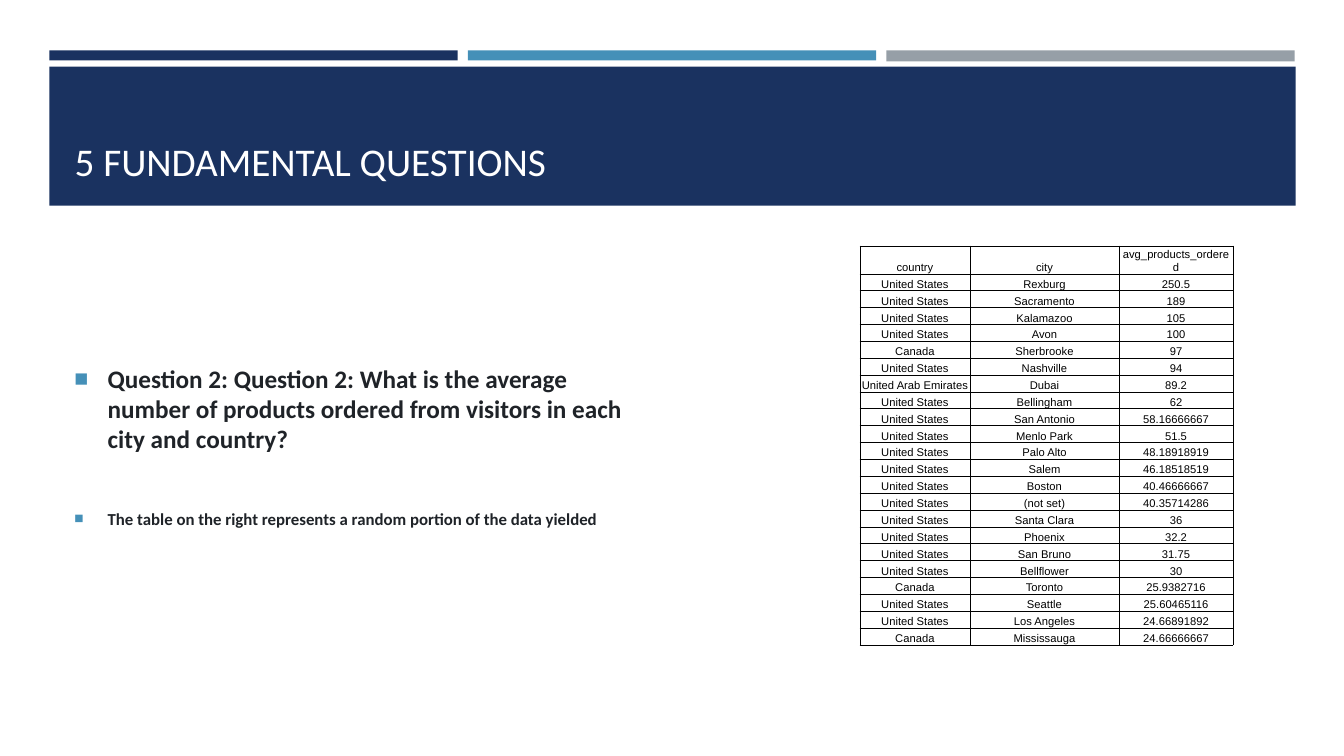
from pptx import Presentation
from pptx.dml.color import RGBColor
from pptx.enum.shapes import MSO_SHAPE as Shape
from pptx.enum.text import MSO_ANCHOR as Anchor, PP_ALIGN as Align
from pptx.oxml import parse_xml
from pptx.oxml.ns import nsdecls
from pptx.util import Inches, Pt

NAVY = RGBColor(0x1A, 0x32, 0x60)
BLUE = RGBColor(0x45, 0x90, 0xB8)
GRAY = RGBColor(0x96, 0x9F, 0xA7)
INK = RGBColor(0x1F, 0x23, 0x28)
BLACK = RGBColor(0, 0, 0)
WHITE = RGBColor(0xFF, 0xFF, 0xFF)

BARS = [
    (0.49, 0.5, 4.05, 0.1, NAVY),
    (4.64, 0.5, 4.05, 0.1, BLUE),
    (8.79, 0.5, 4.05, 0.11, GRAY),
    (0.49, 0.66, 12.36, 1.38, NAVY),
]
POINTS = [
    ("Question 2: Question 2: What is the average number of products "
     "ordered from visitors in each city and country?", 18, 0),
    ("The table on the right represents a random portion of the data yielded", 12, 33),
]
US = "United States"
ROWS = [
    ("country", "city", "avg_products_ordered"),
    (US, "Rexburg", "250.5"),
    (US, "Sacramento", "189"),
    (US, "Kalamazoo", "105"),
    (US, "Avon", "100"),
    ("Canada", "Sherbrooke", "97"),
    (US, "Nashville", "94"),
    ("United Arab Emirates", "Dubai", "89.2"),
    (US, "Bellingham", "62"),
    (US, "San Antonio", "58.16666667"),
    (US, "Menlo Park", "51.5"),
    (US, "Palo Alto", "48.18918919"),
    (US, "Salem", "46.18518519"),
    (US, "Boston", "40.46666667"),
    (US, "(not set)", "40.35714286"),
    (US, "Santa Clara", "36"),
    (US, "Phoenix", "32.2"),
    (US, "San Bruno", "31.75"),
    (US, "Bellflower", "30"),
    ("Canada", "Toronto", "25.9382716"),
    (US, "Seattle", "25.60465116"),
    (US, "Los Angeles", "24.66891892"),
    ("Canada", "Mississauga", "24.66666667"),
]
WIDTHS = (1.09, 1.48, 1.13)
CELL = {
    "vertical_anchor": Anchor.BOTTOM,
    "margin_left": Inches(0.01),
    "margin_right": Inches(0.01),
    "margin_top": Inches(0.01),
    "margin_bottom": 0,
}


def style(para, text, size, name, color, bold=False):
    """Fill a paragraph with one formatted run."""
    run = para.add_run()
    run.text = text
    look = {"size": Pt(size), "name": name, "bold": bold}
    for key, value in look.items():
        setattr(run.font, key, value)
    run.font.color.rgb = color


deck = Presentation()
deck.slide_width = Inches(13.33)
deck.slide_height = Inches(7.5)
slide = deck.slides.add_slide(deck.slide_layouts[5])
shapes = slide.shapes

# Header bars and band
for left, top, width, height, color in BARS:
    bar = shapes.add_shape(Shape.RECTANGLE, Inches(left), Inches(top),
                           Inches(width), Inches(height))
    bar.shadow.inherit = False
    bar.fill.solid()
    bar.fill.fore_color.rgb = color
    bar.line.fill.background()

# Title, raised above the band
title = shapes.title
place = {"left": Inches(0.64), "top": Inches(0.8),
         "width": Inches(12.06), "height": Inches(1.08)}
for key, value in place.items():
    setattr(title, key, value)
title.text_frame.vertical_anchor = Anchor.BOTTOM
head = title.text_frame.paragraphs[0]
head.alignment = Align.LEFT
style(head, "5 FUNDAMENTAL QUESTIONS", 28, "Calibri", WHITE)
bar._element.addnext(title._element)

# Bulleted question
body = shapes.add_textbox(Inches(0.64), Inches(2.44), Inches(5.93), Inches(3.97))
frame = body.text_frame
frame.word_wrap = True
frame.vertical_anchor = Anchor.MIDDLE
for i, (text, size, gap) in enumerate(POINTS):
    para = frame.add_paragraph() if i else frame.paragraphs[0]
    para.space_before = Pt(gap)
    para.space_after = Pt(6)
    style(para, text, size, "Calibri", INK, True)
    props = para._p.get_or_add_pPr()
    props.set("marL", str(Inches(0.33)))
    props.set("indent", str(Inches(-0.33)))
    for mark in (f'<a:buClr {nsdecls("a")}><a:srgbClr val="{BLUE}"/></a:buClr>',
                 f'<a:buSzPct {nsdecls("a")} val="92000"/>',
                 f'<a:buFont {nsdecls("a")} typeface="Arial"/>',
                 f'<a:buChar {nsdecls("a")} char="■"/>'):
        props.append(parse_xml(mark))

# Table of averages
table = shapes.add_table(len(ROWS), len(WIDTHS), Inches(8.53), Inches(2.44),
                         Inches(3.7), Inches(3.85)).table
table.first_row = False
table.horz_banding = False
for col, width in zip(table.columns, WIDTHS):
    col.width = Inches(width)
for r, row in enumerate(ROWS):
    table.rows[r].height = Inches(3.85) // len(ROWS)
    for c, text in enumerate(row):
        cell = table.cell(r, c)
        for key, value in CELL.items():
            setattr(cell, key, value)
        para = cell.text_frame.paragraphs[0]
        para.alignment = Align.CENTER
        style(para, text, 8, "Arial", BLACK)
        props = cell._tc.get_or_add_tcPr()
        for side in ("lnL", "lnR", "lnT", "lnB"):
            props.append(parse_xml(
                f'<a:{side} {nsdecls("a")} w="{Pt(0.5)}"><a:solidFill>'
                f'<a:srgbClr val="{BLACK}"/></a:solidFill></a:{side}>'))
        cell.fill.background()

deck.save("out.pptx")
